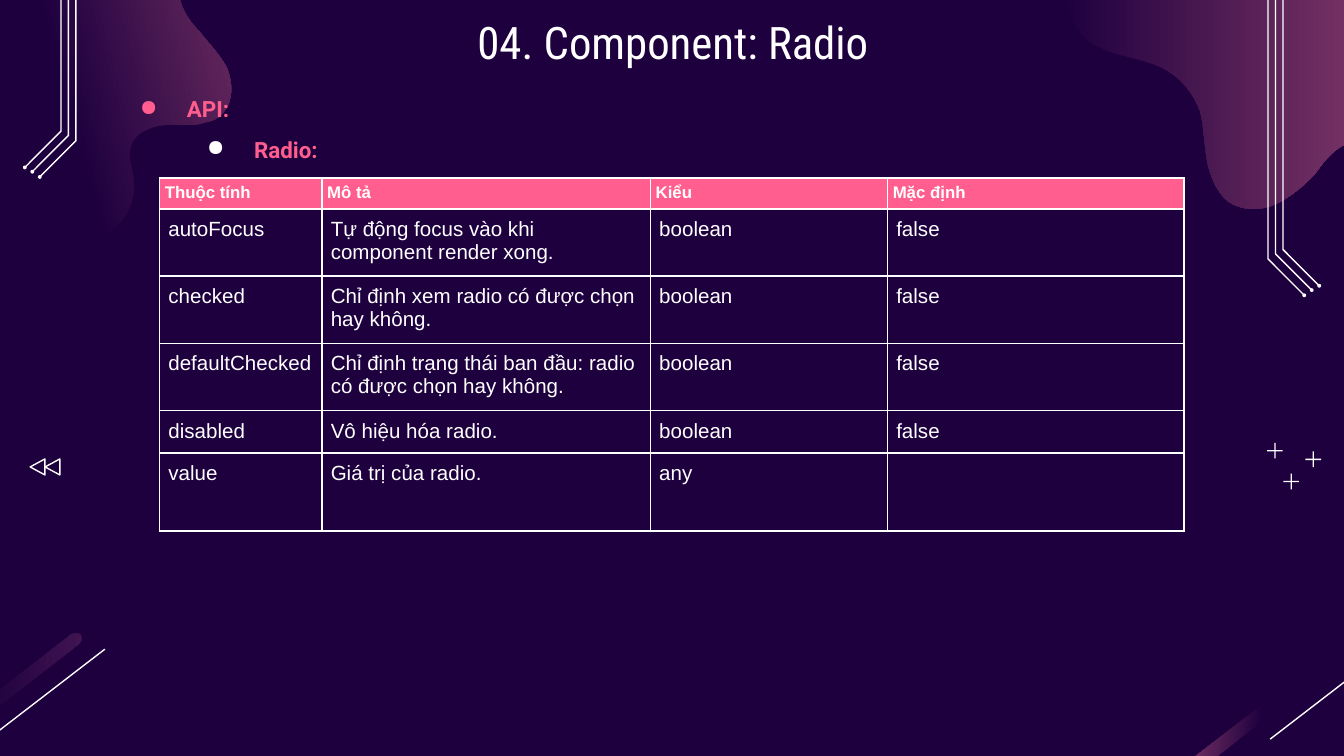
from lxml import etree
from pptx import Presentation
from pptx import util as u
from pptx.dml.color import RGBColor
from pptx.enum import shapes, text
from pptx.oxml import ns

WHITE, PINK, NIGHT, PLUM, DUSK = "FFFFFF", "FF5E8E", "1E003F", "A64D79", "3F1450"

LEFT_BLOB = [
    (34.6, 136.8), (53.3, 131.8), (61.9, 121.7), (64.8, 118.8), (70.6, 112.3), (72.7, 103), (71.3, 94.3),
    (70.6, 89.3), (68.4, 84.2), (69.8, 79.9), (70.6, 73.4), (76.3, 69.8), (83.5, 67.7),
    (89.3, 66.2), (95.8, 67), (102.2, 67), (105.1, 67), (108, 66.2), (110.2, 65.5),
    (113.8, 64.8), (117.4, 63.4), (119.5, 60.5), (125.3, 54), (124.6, 43.9), (121.7, 36.7),
    (118.1, 29.5), (111.6, 23), (106.6, 16.6), (100.8, 10.8), (95.8, 2.9), (95.8, -5),
    (95.8, -11.5), (97.9, -18), (103, -22.3), (105.8, -25.2), (110.2, -27.4), (114.5, -28.1),
    (121, -30.2), (128.9, -30.2), (136.8, -29.5), (144.7, -29.5), (152.6, -28.8), (164.2, -31),
    (170.6, -33.1), (177.1, -36.7), (181.4, -41.8), (186.5, -47.5), (187.9, -56.2), (185.8, -62.6),
    (184.3, -75.6), (175.7, -90), (167.8, -96.5), (154.8, -108), (136.8, -111.6), (118.1, -108),
    (92.9, -100.8), (74.2, -79.2), (50.4, -68.4), (46.8, -67), (42.5, -65.5), (38.9, -64.8),
    (15.8, -58.3), (-9.4, -61.2), (-33.8, -59), (-44.6, -58.3), (-55.4, -56.2), (-65.5, -53.3),
    (-74.9, -51.1), (-83.5, -48.2), (-92.2, -43.9), (-104.4, -38.9), (-116.6, -31.7), (-125.3, -21.6),
    (-133.9, -12.2), (-140.4, 1.4), (-139.7, 15.8), (-139, 33.1), (-126.7, 49), (-112.3, 57.6),
    (-97.2, 67), (-80.6, 69.8), (-63.4, 71.3), (-53.3, 72.7), (-43.2, 72.7), (-33.1, 76.3),
    (-23, 79.2), (-13.7, 85.7), (-9.4, 95.8), (-5.8, 103.7), (-5.8, 111.6), (-2.2, 119.5),
    (4.3, 132.5), (20.9, 140.4), (34.6, 136.8)]
RIGHT_BLOB = [
    (810, 27.4), (810, 9.4), (805, -9.4), (795.6, -25.2), (787.7, -38.9), (776.2, -50.4), (761.8, -55.4),
    (745.9, -61.2), (728.6, -58.3), (712.1, -60.5), (696.2, -62.6), (680.4, -69.8), (668.9, -81.4),
    (661, -88.6), (654.5, -97.2), (645.8, -101.5), (635.8, -106.6), (624.2, -105.1), (613.4, -103),
    (604.8, -100.8), (596.2, -97.9), (589.7, -92.9), (578.2, -84.2), (573.1, -69.8), (571, -56.2),
    (568.8, -46.8), (568.1, -36.7), (568.1, -27.4), (568.1, -22.3), (568.1, -17.3), (568.8, -13),
    (569.5, 0), (573.1, 13), (582.5, 21.6), (594, 30.2), (609.8, 30.2), (622.1, 36),
    (632.2, 41), (639.4, 49.7), (643, 59.8), (645.1, 67.7), (645.1, 77), (646.6, 85.7),
    (648, 93.6), (651.6, 103), (658.1, 108), (665.3, 113), (675.4, 113), (683.3, 109.4),
    (691.2, 105.8), (697.7, 100.1), (704.2, 93.6), (707.8, 88.6), (711.4, 83.5), (716.4, 79.9),
    (721.4, 76.3), (727.2, 74.2), (733, 76.3), (743.8, 79.2), (747.4, 93.6), (757.4, 99.4),
    (781.2, 113), (797.8, 80.6), (804.2, 63.4), (807.8, 51.8), (810, 39.6), (810, 27.4)]
BAR = [(40.3, 339.1), (43.2, 339.8), (43.9, 342.7), (42.5, 344.9), (-58.3, 423.4),
       (-61.9, 424.1), (-64.1, 421.2), (-62.6, 417.6), (38.2, 339.8)]

ROWS = [
    ("Thuộc tính", "Mô tả", "Kiểu", "Mặc định"),
    ("autoFocus", "Tự động focus vào khi component render xong.", "boolean", "false"),
    ("checked", "Chỉ định xem radio có được chọn hay không.", "boolean", "false"),
    ("defaultChecked", "Chỉ định trạng thái ban đầu: radio có được chọn hay không.", "boolean", "false"),
    ("disabled", "Vô hiệu hóa radio.", "boolean", "false"),
    ("value", "Giá trị của radio.", "any", "")]
COLUMN_WIDTHS = [87, 176, 127, 159]
ROW_HEIGHTS = [16.1, 34.5, 34.5, 34.5, 22.2, 41.5]


def color(value):
    return RGBColor.from_string(value)


def fill_solid(item, value):
    item.fill.solid()
    item.fill.fore_color.rgb = color(value)


def fill_gradient(shape, end, angle, start_at):
    shape.fill.gradient()
    shape.fill.gradient_angle = angle
    first, last = shape.fill.gradient_stops
    first.color.rgb, first.position = color(NIGHT), start_at
    last.color.rgb, last.position = color(end), 1


def curve(nodes, steps=8):
    points = [nodes[0]]
    for i in range(0, len(nodes) - 1, 3):
        a, b, c, d = nodes[i:i + 4]
        for step in range(1, steps + 1):
            t = step / steps
            weights = (1 - t) ** 3, 3 * t * (1 - t) ** 2, 3 * t * t * (1 - t), t ** 3
            points.append(tuple(sum(w * p[axis] for w, p in zip(weights, (a, b, c, d)))
                                for axis in (0, 1)))
    return points


def add_outline(page, points):
    points = [(u.Pt(x), u.Pt(y)) for x, y in points]
    builder = page.shapes.build_freeform(*points[0])
    builder.add_line_segments(points[1:], close=True)
    shape = builder.convert_to_shape()
    shape.shadow.inherit = False
    shape.line.fill.background()
    return shape


def add_preset(page, kind, left, top, width, height):
    shape = page.shapes.add_shape(kind, u.Pt(left), u.Pt(top), u.Pt(width), u.Pt(height))
    shape.shadow.inherit = False
    fill_solid(shape, WHITE)
    shape.line.fill.background()
    return shape


def add_rails(page, place):
    for x, bend in ((679, 139), (683, 136.2), (687, 133.9)):
        rail = [(x, -86), (x, bend), (x + 19.5, bend + 19.5), (x + 20, bend + 19),
                (x + 0.7, bend - 0.4), (x + 0.7, -86)]
        fill_solid(add_outline(page, [place(*point) for point in rail]), WHITE)
        dot_x, dot_y = place(x + 19.7, bend + 19.2)
        add_preset(page, shapes.MSO_SHAPE.OVAL, dot_x - 1, dot_y - 1, 2, 2)


def add_slash(page, shift):
    line = page.shapes.add_connector(shapes.MSO_CONNECTOR.STRAIGHT, u.Pt(56.2 + shift), u.Pt(347.8),
                                     u.Pt(-6.5 + shift), u.Pt(396))
    line.line.color.rgb = color(WHITE)
    line.line.width = u.Pt(0.75)
    etree.SubElement(line._element.spPr, ns.qn("a:effectLst"))


def add_corner(page, shift, end, angle):
    bar = add_outline(page, [(x + shift, y) for x, y in BAR])
    fill_gradient(bar, end, angle, 0.5)
    add_slash(page, shift)


def add_cross(page, x, y, arm=8.4, thick=0.7):
    for width, height in ((arm, thick), (thick, arm)):
        add_preset(page, shapes.MSO_SHAPE.RECTANGLE, x - width / 2, y - height / 2, width, height)


def add_arrow(page, left):
    arrow = add_preset(page, shapes.MSO_SHAPE.ISOSCELES_TRIANGLE, left, 246.2, 8.6, 7.9)
    arrow.rotation = 270
    arrow.fill.background()
    arrow.line.color.rgb = color(WHITE)
    arrow.line.width = u.Pt(0.75)


def set_font(para, name, size, value, bold=False):
    font = para.font
    font.name, font.size, font.bold = name, u.Pt(size), bold
    font.color.rgb = color(value)


def place_box(box, left, top, width, height):
    box.left, box.top, box.width, box.height = (u.Pt(n) for n in (left, top, width, height))
    frame = box.text_frame
    frame.word_wrap = True
    frame.margin_left = frame.margin_right = frame.margin_top = frame.margin_bottom = u.Pt(7.2)
    return frame


def add_title(page, words):
    frame = place_box(page.shapes.title, 57, 0, 607, 45)
    frame.text = words
    frame.vertical_anchor = text.MSO_ANCHOR.MIDDLE
    para = frame.paragraphs[0]
    para.alignment = text.PP_ALIGN.CENTER
    set_font(para, "Roboto Condensed", 24, WHITE)


def add_bullets(page, items):
    frame = place_box(page.shapes.add_textbox(0, 0, 0, 0), 57, 36.7, 584.6, 52.6)
    frame.text = "\n".join(words for words, bullet in items)
    for level, (para, (words, bullet)) in enumerate(zip(frame.paragraphs, items)):
        para.level = level
        para.line_spacing = 1.5
        props = para._p.get_or_add_pPr()
        props.set("marL", str(u.Pt(36 * (level + 1))))
        props.set("indent", str(u.Pt(-25.2)))
        tint = etree.SubElement(props, ns.qn("a:buClr"))
        etree.SubElement(tint, ns.qn("a:srgbClr"), val=bullet)
        etree.SubElement(props, ns.qn("a:buChar"), char="●")
        set_font(para, "Roboto", 12, PINK, True)


def add_borders(cell):
    props = cell._tc.get_or_add_tcPr()
    for index, side in enumerate(("lnL", "lnR", "lnT", "lnB")):
        edge = etree.Element(ns.qn("a:" + side), w=str(u.Pt(1)))
        solid = etree.SubElement(edge, ns.qn("a:solidFill"))
        etree.SubElement(solid, ns.qn("a:srgbClr"), val=WHITE)
        props.insert(index, edge)


def add_property_table(page):
    table = page.shapes.add_table(len(ROWS), len(COLUMN_WIDTHS), u.Pt(85.4), u.Pt(95.3),
                                  u.Pt(sum(COLUMN_WIDTHS)), u.Pt(sum(ROW_HEIGHTS))).table
    table.horz_banding = table.first_row = False
    for column, width in zip(table.columns, COLUMN_WIDTHS):
        column.width = u.Pt(width)
    for r, (row, height) in enumerate(zip(table.rows, ROW_HEIGHTS)):
        row.height = u.Pt(height)
        header = r == 0
        for cell, words in zip(row.cells, ROWS[r]):
            cell.text = words
            margin = u.Pt(2.9 if header else 4.8)
            cell.margin_left = cell.margin_right = cell.margin_top = cell.margin_bottom = margin
            set_font(cell.text_frame.paragraphs[0], "Arial", 9 if header else 11, WHITE, header)
            if header:
                fill_solid(cell, PINK)
            else:
                cell.fill.background()
            add_borders(cell)


def main():
    deck = Presentation()
    deck.slide_width, deck.slide_height = u.Pt(720), u.Pt(405)
    page = deck.slides.add_slide(deck.slide_layouts[5])
    fill_solid(page.background, NIGHT)
    fill_gradient(add_outline(page, curve(LEFT_BLOB)), PLUM, 15, 0.5)
    fill_gradient(add_outline(page, curve(RIGHT_BLOB)), PLUM, 0, 0)
    add_corner(page, 0, DUSK, 0)
    add_corner(page, 686.9, PLUM, 172.7)
    add_rails(page, lambda x, y: (x, y))
    add_rails(page, lambda x, y: (720 - x, y - 63.4))
    for x, y in ((691.7, 258), (703.6, 246.1), (683, 241.5)):
        add_cross(page, x, y)
    for left in (15.8, 23.8):
        add_arrow(page, left)
    add_bullets(page, [("API:", PINK), ("Radio:", WHITE)])
    add_title(page, "04. Component: Radio")
    add_property_table(page)
    deck.save("out.pptx")


if __name__ == "__main__":
    main()
